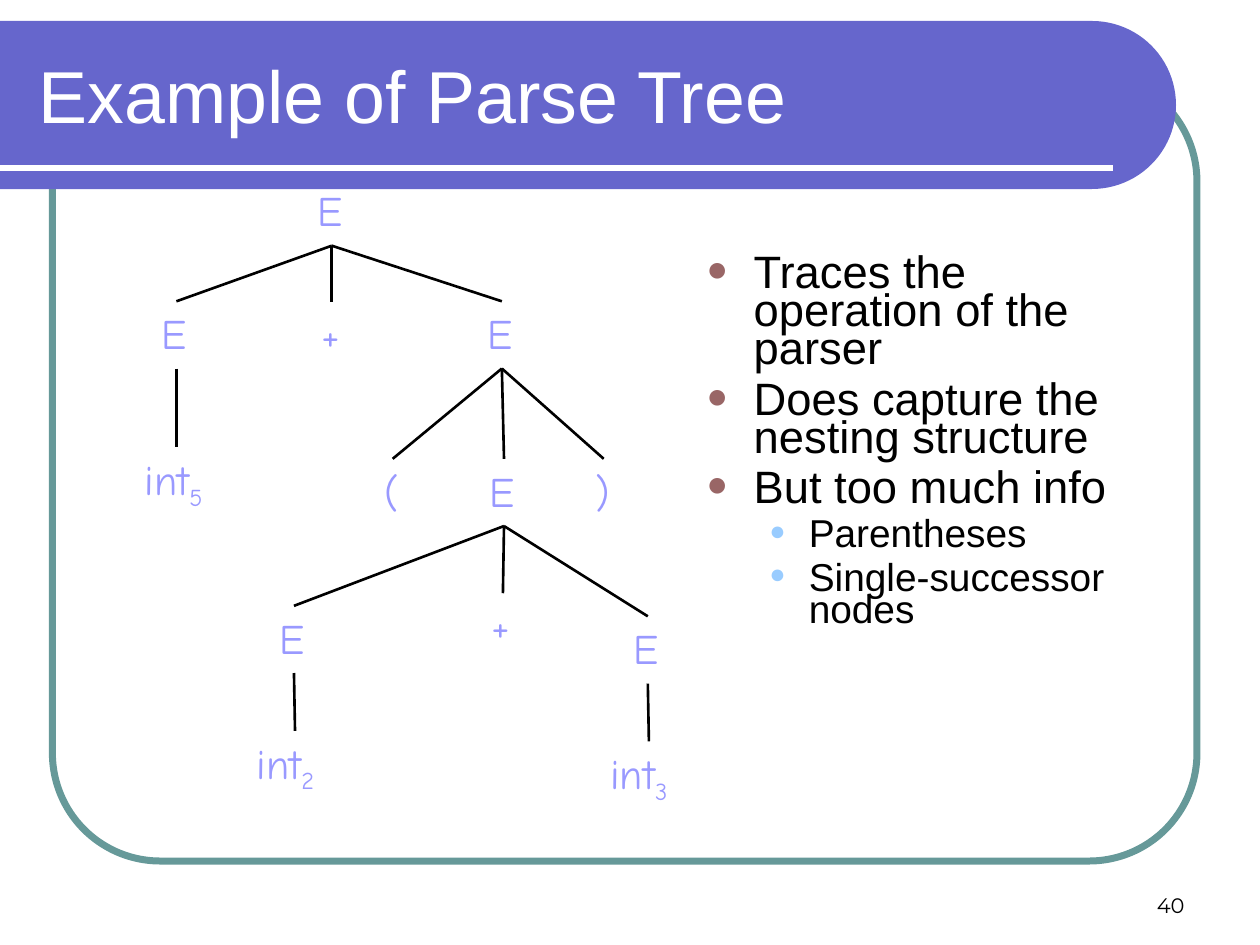
from dataclasses import dataclass
from math import cos, pi, sin

from lxml.etree import SubElement
from pptx import Presentation
from pptx.dml.color import RGBColor
from pptx.enum.shapes import MSO_CONNECTOR as Connector, MSO_SHAPE as Preset
from pptx.enum.text import MSO_ANCHOR as Anchor, PP_ALIGN as Align
from pptx.oxml.ns import qn
from pptx.util import Inches, Pt

COLUMNS, ROWS = 120, 90
CELL = Inches(10) // COLUMNS
NODE_HEIGHT = 6.4
BLACK, WHITE, TEAL, VIOLET, LILAC = "000000", "FFFFFF", "669999", "6666CC", "9999FF"


@dataclass(frozen=True)
class Node:
    """A tree symbol: centre column, top row and the nodes below it."""
    label: str
    column: float
    row: float
    width: float = 5.1
    subscript: str = ""
    children: tuple["Node", ...] = ()


@dataclass(frozen=True)
class Level:
    """Look of one bullet level, indents in grid columns."""
    size: float
    color: str
    bullet_share: int
    indent: float
    hanging: float
    space: float


TREE = Node("E", 31.6, 17, children=(
    Node("E", 16.8, 28.7, children=(Node("int", 16.8, 42.6, 8.4, "5"),)),
    Node("+", 31.6, 28.8, 4.4),
    Node("E", 47.8, 28.7, children=(
        Node("(", 37.4, 43.7, 4),
        Node("E", 48, 43.7, children=(
            Node("E", 28, 57.7, children=(Node("int", 28.1, 69.6, 9.7, "2"),)),
            Node("+", 47.9, 56.5, 4.5),
            Node("E", 61.7, 58.7, children=(Node("int", 61.8, 70.6, 9.7, "3"),)),
        )),
        Node(")", 57.5, 43.7, 4),
    )),
))
LEVELS = (
    Level(25.9, "996666", 80, 4.5, 4.5, 7),
    Level(22.2, "99CCFF", 70, 9.75, 3.75, 6),
)
BULLETS = (
    (0, "Traces the operation of the parser"),
    (0, "Does capture the nesting structure"),
    (0, "But too much info"),
    (1, "Parentheses"),
    (1, "Single-successor nodes"),
)


def grid(*cells: float) -> list[int]:
    """Turn grid cells into slide lengths."""
    return [round(cell * CELL) for cell in cells]


def rgb(value: str) -> RGBColor:
    """Turn a hex string into a colour."""
    return RGBColor.from_string(value)


def apply(target, values: dict) -> None:
    """Set every attribute named in the dict."""
    for name, value in values.items():
        setattr(target, name, value)


def add_run(paragraph, text: str, size: float, name: str, color: str):
    """Add a formatted run to a paragraph."""
    run = paragraph.add_run()
    run.text = text
    apply(run.font, {"size": Pt(size), "name": name})
    run.font.color.rgb = rgb(color)
    return run


def add_frame(slide, box: tuple, anchor=Anchor.TOP):
    """Add a wrapping text box and return its text frame."""
    frame = slide.shapes.add_textbox(*grid(*box)).text_frame
    apply(frame, {"word_wrap": True, "vertical_anchor": anchor})
    return frame


def add_line(slide, start: tuple, end: tuple, color: str, width: float) -> None:
    """Add a straight line without a shadow."""
    line = slide.shapes.add_connector(Connector.STRAIGHT, *grid(*start, *end))
    line.line.color.rgb = rgb(color)
    line.line.width = Pt(width)
    SubElement(line._element.spPr, qn("a:effectLst"))


def add_background(slide) -> None:
    """Draw the rounded frame, the title band and its rule."""
    frame = slide.shapes.add_shape(Preset.ROUNDED_RECTANGLE, *grid(5, 7, 109, 75))
    frame.adjustments[0] = 0.137
    frame.shadow.inherit = False
    frame.fill.background()
    frame.line.color.rgb = rgb(TEAL)
    frame.line.width = Pt(4)

    steps, radius = 48, 8
    angles = [pi * step / steps - pi / 2 for step in range(steps + 1)]
    arc = [grid(104 + radius * cos(a), 10 + radius * sin(a)) for a in angles]
    builder = slide.shapes.build_freeform(*grid(0, 2))
    builder.add_line_segments([*arc, grid(0, 18)], close=True)
    band = builder.convert_to_shape()
    band.shadow.inherit = False
    band.fill.solid()
    band.fill.fore_color.rgb = rgb(VIOLET)
    band.line.fill.background()
    add_line(slide, (0, 16), (106, 16), WHITE, 3)


def add_tree(slide, node: Node) -> None:
    """Draw a node, its branches and everything below it."""
    box = (node.column - node.width / 2, node.row, node.width, NODE_HEIGHT)
    paragraph = add_frame(slide, box).paragraphs[0]
    add_run(paragraph, node.label, 24, "Comic Neue", LILAC)
    if node.subscript:
        run = add_run(paragraph, node.subscript, 24, "Comic Neue", LILAC)
        run.font._element.set("baseline", "-25000")
    for child in node.children:
        add_line(slide, (node.column, node.row + NODE_HEIGHT),
                 (child.column, child.row), BLACK, 1.5)
        add_tree(slide, child)


def add_bullets(slide) -> None:
    """Write the bulleted remarks beside the tree."""
    frame = add_frame(slide, (66.1, 24, 43.9, 40.1))
    for index, (depth, text) in enumerate(BULLETS):
        level = LEVELS[depth]
        paragraph = frame.add_paragraph() if index else frame.paragraphs[0]
        apply(paragraph, {"level": depth, "line_spacing": 0.7,
                          "space_before": Pt(level.space if index else 0)})
        properties = paragraph._p.get_or_add_pPr()
        margin, hanging = grid(level.indent, level.hanging)
        properties.set("marL", str(margin))
        properties.set("indent", str(-hanging))
        color = SubElement(properties, qn("a:buClr"))
        SubElement(color, qn("a:srgbClr"), val=level.color)
        SubElement(properties, qn("a:buSzPct"), val=str(level.bullet_share * 1000))
        SubElement(properties, qn("a:buFont"), typeface="Arial")
        SubElement(properties, qn("a:buChar"), char="●")
        add_run(paragraph, text, level.size, "Arial", BLACK)


def main() -> None:
    """Build and save the slide."""
    presentation = Presentation()
    apply(presentation, {"slide_width": COLUMNS * CELL, "slide_height": ROWS * CELL})
    slide = presentation.slides.add_slide(presentation.slide_layouts[6])
    add_background(slide)
    number = add_frame(slide, (86, 82, 28, 6), Anchor.BOTTOM).paragraphs[0]
    number.alignment = Align.RIGHT
    add_run(number, "40", 12, "Montserrat", BLACK)
    title = add_frame(slide, (2.5, 3, 105.2, 12), Anchor.MIDDLE).paragraphs[0]
    add_run(title, "Example of Parse Tree", 42, "Arial", WHITE)
    add_tree(slide, TREE)
    add_bullets(slide)
    presentation.save("out.pptx")


if __name__ == "__main__":
    main()
